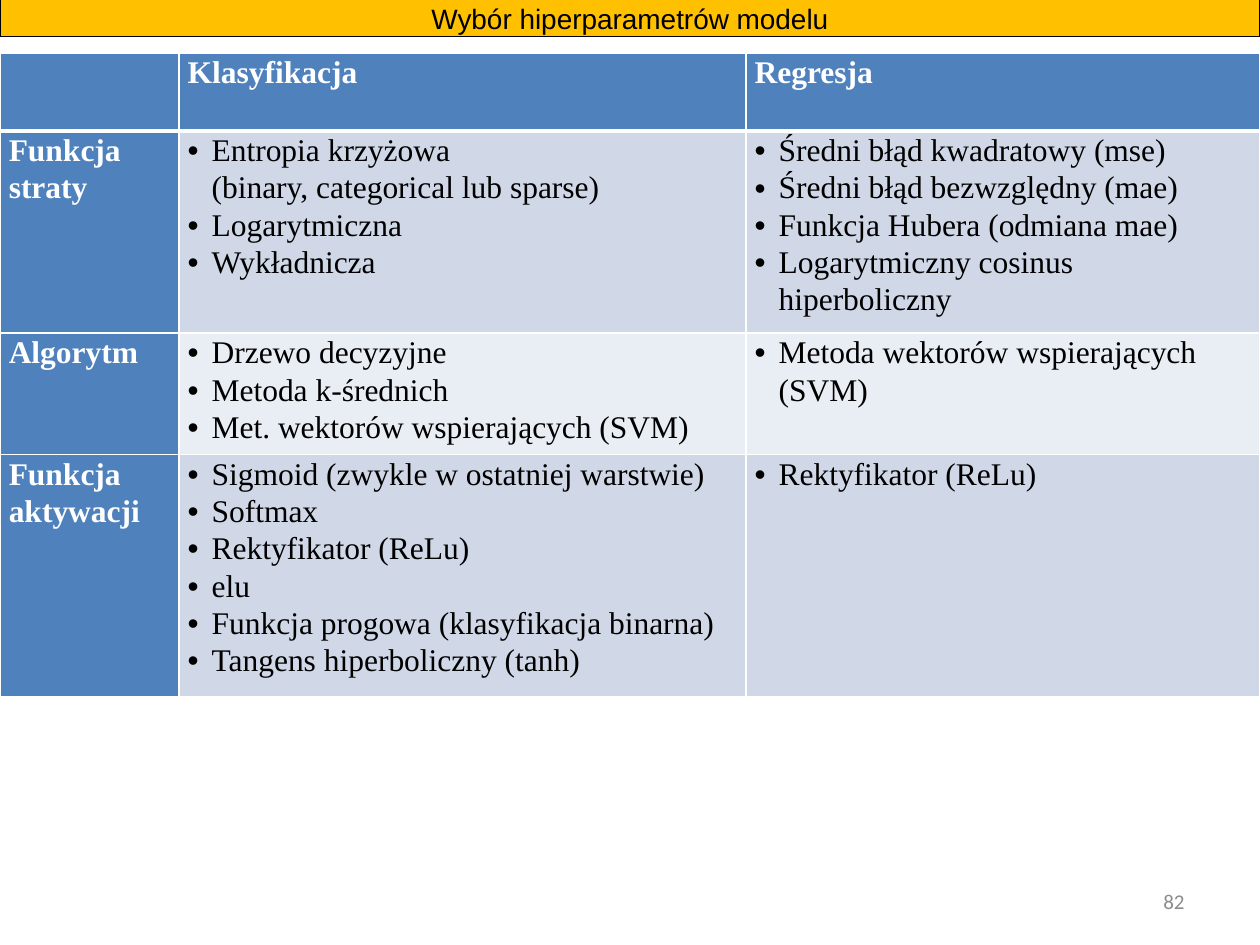
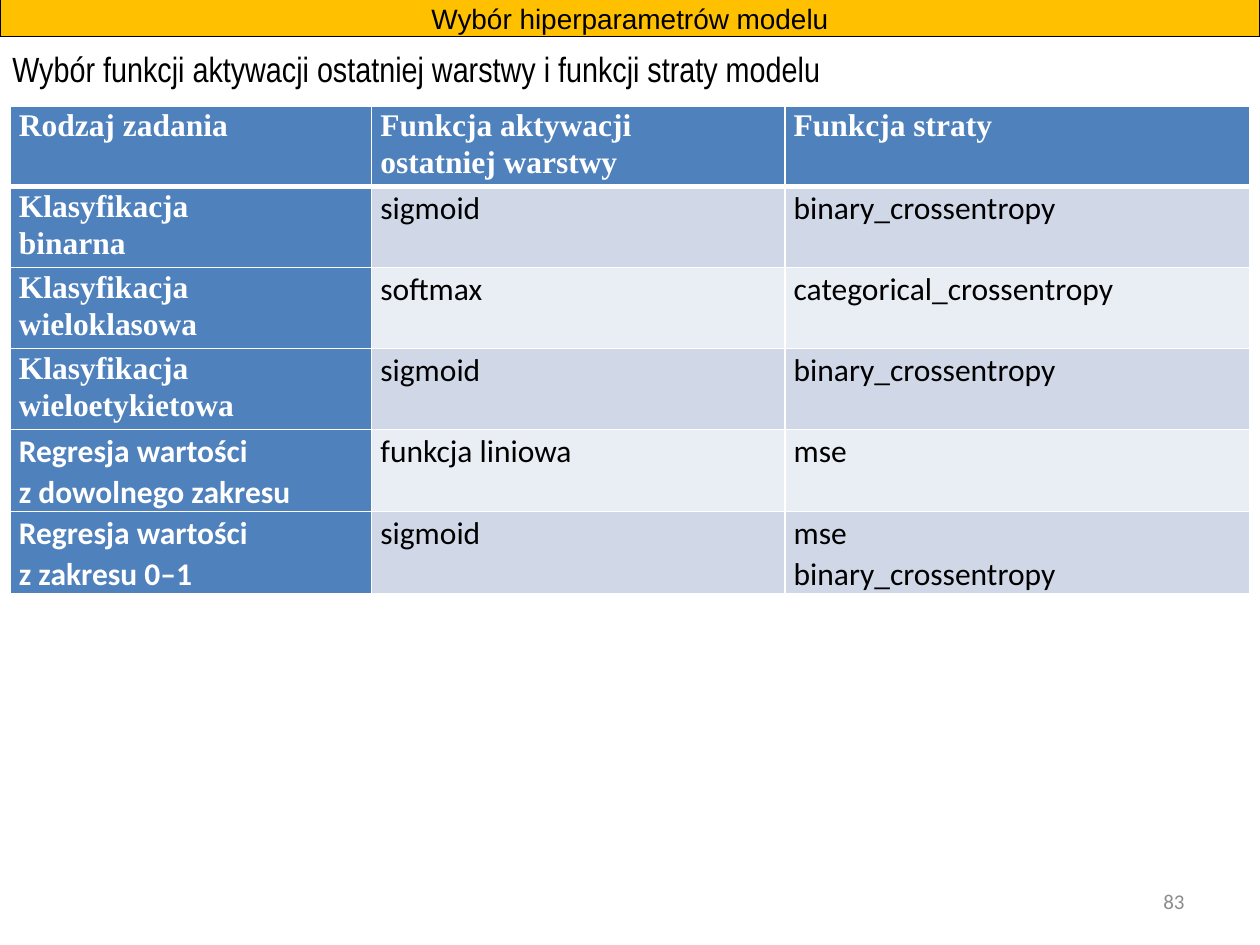
from dataclasses import dataclass

from lxml.etree import SubElement
from pptx import Presentation
from pptx.dml.color import RGBColor as RGB
from pptx.enum.text import MSO_ANCHOR as Anchor, MSO_AUTO_SIZE as Fit, PP_ALIGN as Align
from pptx.oxml import parse_xml
from pptx.oxml.ns import nsdecls, qn
from pptx.util import Inches, Pt


@dataclass(frozen=True)
class Theme:
    gold: str = "FFC000"
    blue: str = "4F81BD"
    rows: tuple = ("D0D8E8", "E9EDF4")
    ink: str = "000000"
    white: str = "FFFFFF"
    gray: str = "8C8C8C"
    sans: str = "Arial"
    narrow: str = "Arial Narrow"
    plain: str = "Calibri"
    serif: str = "Times New Roman"
    title: int = 16
    lead: int = 20
    cell: int = 18
    foot: int = 12


T = Theme()
TITLE = "Wybór hiperparametrów modelu"
CHOICES = [
    ["", "Klasyfikacja", "Regresja"],
    ["Funkcja straty",
     "Entropia krzyżowa\v(binary, categorical lub sparse)\nLogarytmiczna\nWykładnicza",
     "Średni błąd kwadratowy (mse)\nŚredni błąd bezwzględny (mae)\n"
     "Funkcja Hubera (odmiana mae)\nLogarytmiczny cosinus hiperboliczny"],
    ["Algorytm",
     "Drzewo decyzyjne\nMetoda k-średnich\nMet. wektorów wspierających (SVM)",
     "Metoda wektorów wspierających (SVM)"],
    ["Funkcja aktywacji",
     "Sigmoid (zwykle w ostatniej warstwie)\nSoftmax\nRektyfikator (ReLu)\nelu\n"
     "Funkcja progowa (klasyfikacja binarna)\nTangens hiperboliczny (tanh)",
     "Rektyfikator (ReLu)"],
]
TASKS = [
    ["Rodzaj zadania", "Funkcja aktywacji\vostatniej warstwy", "Funkcja straty"],
    ["Klasyfikacja\nbinarna", "sigmoid", "binary_crossentropy"],
    ["Klasyfikacja wieloklasowa", "softmax", "categorical_crossentropy"],
    ["Klasyfikacja wieloetykietowa", "sigmoid", "binary_crossentropy"],
    ["Regresja wartości\vz dowolnego zakresu", "funkcja liniowa", "mse"],
    ["Regresja wartości\vz zakresu 0–1", "sigmoid", "mse\nbinary_crossentropy"],
]


def write(frame, text, size, font, color=T.ink, bold=False, align=Align.LEFT,
          anchor=None, space=None, bullet=False):
    """Fill a frame: a newline starts a paragraph, a vertical tab breaks a line."""
    frame.word_wrap = True
    if anchor is not None:
        frame.vertical_anchor = anchor
    for i, line in enumerate(text.split("\n")):
        para = frame.add_paragraph() if i else frame.paragraphs[0]
        para.text = line
        para.alignment = align
        if space:
            para.line_spacing = space
        if bullet:
            props = para._p.get_or_add_pPr()
            props.set("marL", str(Inches(0.19)))
            props.set("indent", str(Inches(-0.19)))
            SubElement(props, qn("a:buFont")).set("typeface", T.sans)
            SubElement(props, qn("a:buChar")).set("char", "•")
        for run in para.runs:
            run.font.size, run.font.name, run.font.bold = Pt(size), font, bold
            run.font.color.rgb = RGB.from_string(color)


def place(shape, box):
    shape.left, shape.top, shape.width, shape.height = map(Inches, box)


def label(slide, box, text, size, font, **style):
    shape = slide.shapes.add_textbox(*map(Inches, box))
    write(shape.text_frame, text, size, font, **style)


def band(slide, box):
    """Place the title as a gold strip."""
    shape = slide.shapes.title
    place(shape, box)
    shape.fill.solid()
    shape.fill.fore_color.rgb = RGB.from_string(T.gold)
    shape.line.color.rgb = RGB.from_string(T.ink)
    shape.line.width = Pt(0.75)
    shape.text_frame.auto_size = Fit.NONE
    write(shape.text_frame, TITLE, T.title, T.sans, align=Align.CENTER, anchor=Anchor.TOP)


def edge(cell, **widths):
    """Draw white cell borders, keyed by side, in points."""
    props = cell._tc.get_or_add_tcPr()
    for i, side in enumerate("LRTB"):
        props.insert(i, parse_xml(
            f'<a:ln{side} {nsdecls("a")} w="{Pt(widths.get(side, 1))}"><a:solidFill>'
            f'<a:srgbClr val="{T.white}"/></a:solidFill></a:ln{side}>'))


def grid(slide, left, top, cols, rows, data, font, bullet=False):
    """Add a table; font(row, col) names the typeface of a cell."""
    box = map(Inches, (left, top, sum(cols), sum(rows)))
    table = slide.shapes.add_table(len(rows), len(cols), *box).table
    for col, width in zip(table.columns, cols):
        col.width = Inches(width)
    for r, (row, height) in enumerate(zip(table.rows, rows)):
        row.height = Inches(height)
        for c, cell in enumerate(row.cells):
            head = r == 0 or c == 0
            cell.margin_left = cell.margin_right = Inches(0.07)
            cell.margin_top = cell.margin_bottom = 0
            cell.fill.solid()
            cell.fill.fore_color.rgb = RGB.from_string(T.blue if head else T.rows[(r - 1) % 2])
            edge(cell, T=3 if r == 1 else 1, B=1 if r else 3)
            write(cell.text_frame, data[r][c], T.cell, font(r, c), bold=head,
                  color=T.white if head else T.ink, space=1.07,
                  bullet=bullet and not head)


def page(deck, number):
    """Add a slide with the shared band and page number."""
    slide = deck.slides.add_slide(deck.slide_layouts[5])
    band(slide, (0, -0.04, 10, 0.33))
    label(slide, (7.17, 6.95, 2.33, 0.4), str(number), T.foot, T.plain,
          color=T.gray, align=Align.RIGHT, anchor=Anchor.MIDDLE)
    return slide


def choices(deck):
    slide = page(deck, 82)
    grid(slide, 0, 0.42, (1.42, 4.5, 4.08), (0.62, 1.48, 0.89, 1.77), CHOICES,
         lambda r, c: T.serif, bullet=True)


def tasks(deck):
    slide = page(deck, 83)
    label(slide, (0, 0.33, 10, 0.44),
          "Wybór funkcji aktywacji ostatniej warstwy i funkcji straty modelu",
          T.lead, T.narrow)
    grid(slide, 0.08, 0.84, (2.87, 3.28, 3.69), (0.59,) * 4 + (0.65,) * 2, TASKS,
         lambda r, c: T.serif if r == 0 or (c == 0 and r < 4) else T.plain)


def main():
    deck = Presentation()
    deck.slide_width, deck.slide_height = Inches(10), Inches(7.5)
    choices(deck)
    tasks(deck)
    deck.save("out.pptx")


if __name__ == "__main__":
    main()
